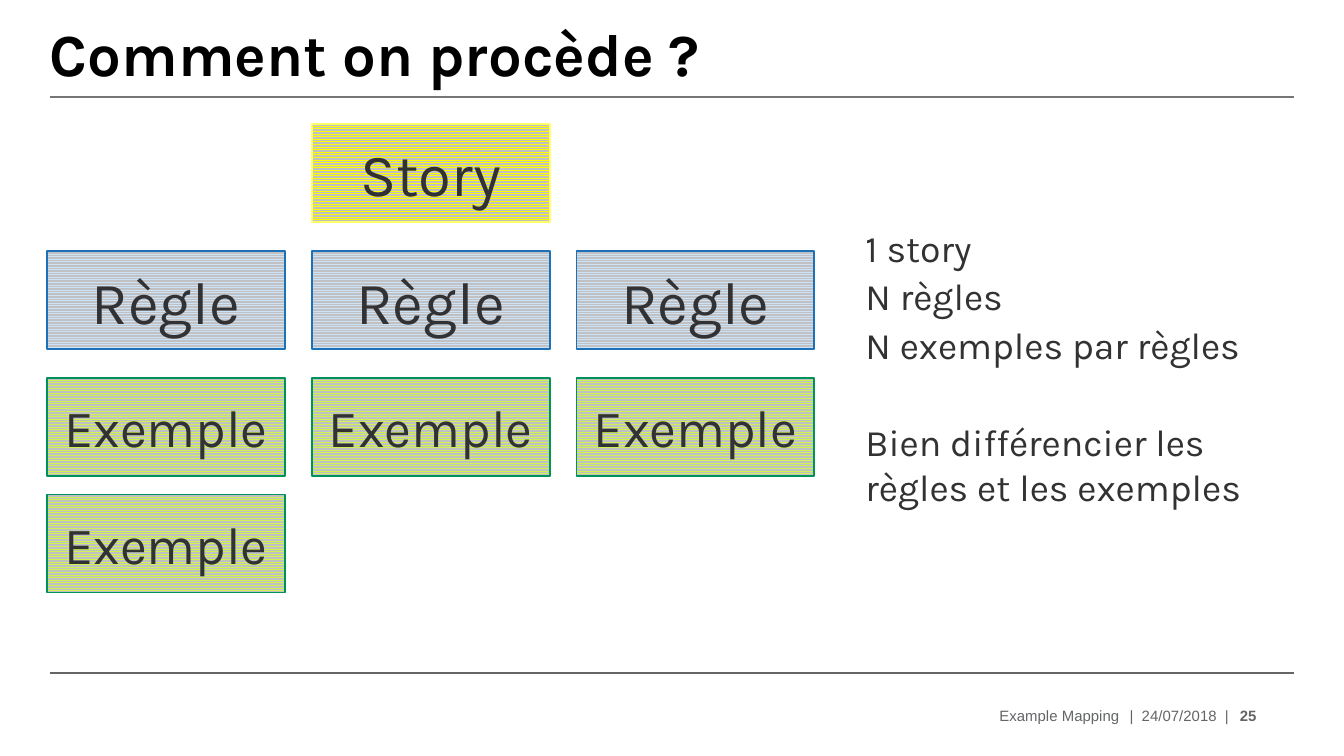
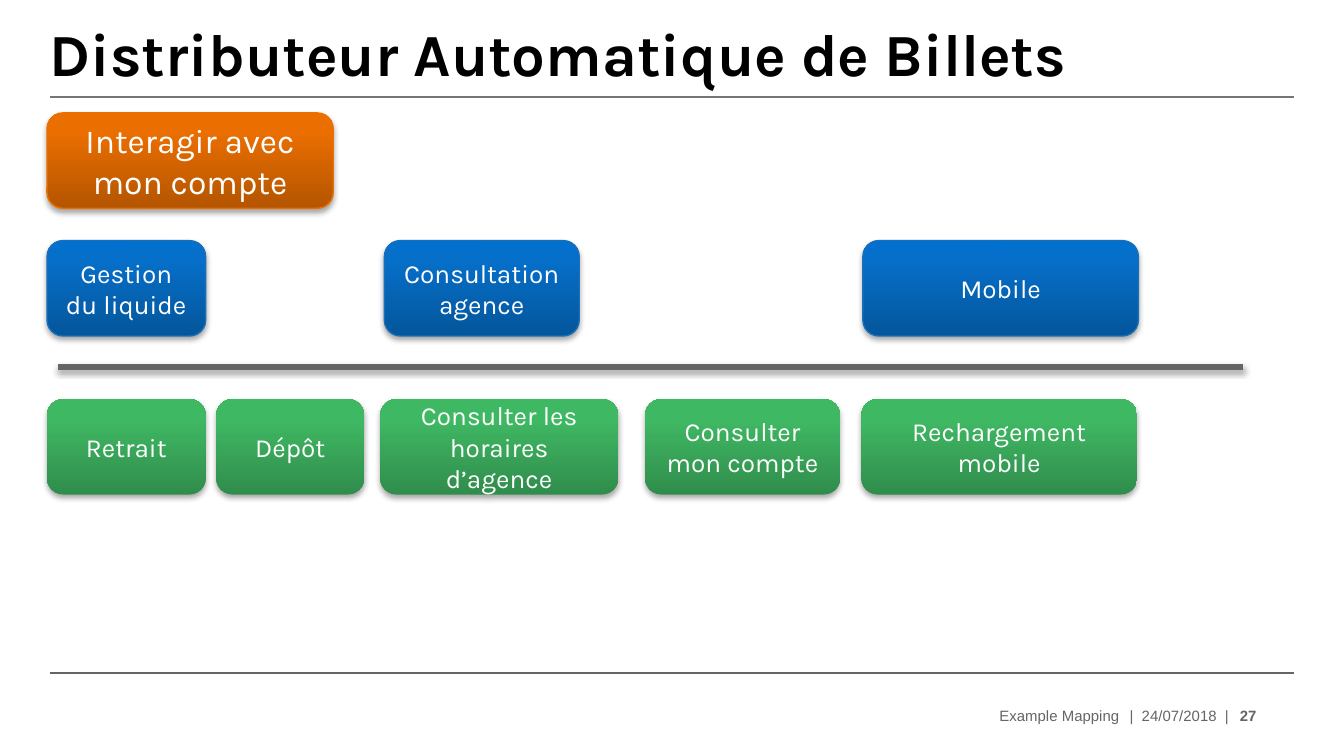
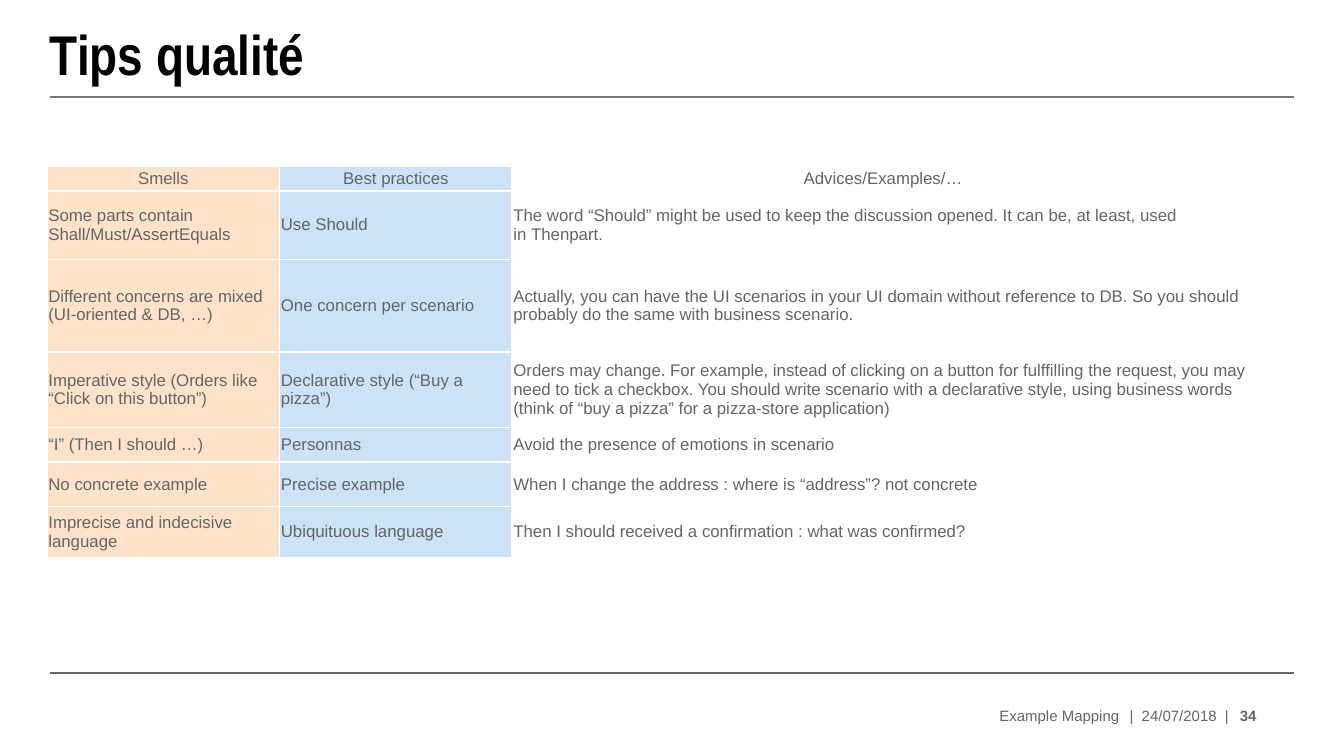
import collections
import dataclasses

import lxml.etree
import pptx
import pptx.dml.color
import pptx.enum.dml
import pptx.enum.shapes
import pptx.enum.text
import pptx.oxml.ns
import pptx.util

Inches = pptx.util.Inches
Pt = pptx.util.Pt
qn = pptx.oxml.ns.qn
ALIGN = pptx.enum.text.PP_ALIGN
SHAPE = pptx.enum.shapes.MSO_SHAPE
STRAIGHT = pptx.enum.shapes.MSO_CONNECTOR.STRAIGHT

Box = collections.namedtuple("Box", "left top width height")
Card = collections.namedtuple("Card", "fill line size")
Tile = collections.namedtuple("Tile", "stops line size")


@dataclasses.dataclass(frozen=True)
class Theme:
    display: str = "Karla"
    narrow: str = "Arial Narrow"
    plain: str = "Arial"
    black: str = "000000"
    white: str = "FFFFFF"
    ink: str = "323234"
    grey: str = "646567"
    title_rule: str = "767676"
    stripe: str = "C1C1C3"
    peach: str = "FEE3CA"
    sky: str = "CCE3F7"
    title_size: int = 32
    narrow_title_size: int = 30
    body_size: int = 20
    table_size: int = 9
    footer_size: int = 8
    story: Card = Card("FFFF00", "FFFF69", 32)
    rule: Card = Card("CCE3F7", "1D71B8", 32)
    example: Card = Card("CFF353", "00925B", 28)
    goal: Tile = Tile(("B45500", "EA6E00", "EB6F00"), "EC6F00", 18)
    activity: Tile = Tile(("04569B", "066FC9", "0270CE"), "196FB8", 14)
    task: Tile = Tile(("308D4C", "3FB863", "3DBB63"), None, 14)


THEME = Theme()
PAGE = Box(0, 0, 10, 10 * 9 / 16)
TITLE = Box(0.37, 0.09, 9.25, 0.61)
FOOTER = Box(6.13, 5.25, 3.22, 0.15)
RULES = ((0.72, THEME.title_rule), (5.01, THEME.grey))
HARD_SPACE = chr(160)

TIPS = (
    ("Smells", "Best practices", "Advices/Examples/…"),
    ("Some parts contain Shall/Must/AssertEquals", "Use Should",
     "The word “Should” might be used to keep the discussion opened. "
     f"It can be, at least, used in{HARD_SPACE}Thenpart."),
    ("Different concerns are mixed (UI-oriented & DB, …)", "One concern per scenario",
     "Actually, you can have the UI scenarios in your UI domain without reference to DB. "
     "So you should probably do the same with business scenario."),
    ("Imperative style (Orders like “Click on this button”)",
     "Declarative style (“Buy a pizza”)",
     "Orders may change. For example, instead of clicking on a button for fulffilling "
     "the request, you may need to tick a checkbox. You should write scenario with a "
     "declarative style, using business words (think of “buy a pizza” for a pizza-store "
     "application)"),
    (f"“I” (Then{HARD_SPACE}I should …)", "Personnas",
     "Avoid the presence of emotions in scenario"),
    ("No concrete example", "Precise example",
     f"When I change the address{HARD_SPACE}: where is “address”? not concrete"),
    ("Imprecise and indecisive language", "Ubiquituous language",
     f"Then I should received a confirmation{HARD_SPACE}: what was confirmed?"),
)


def color(value):
    return pptx.dml.color.RGBColor.from_string(value)


def assign(target, values):
    for name, value in values.items():
        setattr(target, name, value)


def place(item, box):
    assign(item, {name: Inches(value) for name, value in box._asdict().items()})


def inset(target, left, top, right, bottom):
    assign(target, {"margin_left": Inches(left), "margin_top": Inches(top),
                    "margin_right": Inches(right), "margin_bottom": Inches(bottom)})


def write(frame, lines, font, size, ink, align=ALIGN.LEFT, bold=False):
    frame.text = "\n".join(lines)
    for para in frame.paragraphs:
        para.alignment = align
        for span in para.runs:
            assign(span.font, {"name": font, "size": Pt(size), "bold": bold})
            span.font.color.rgb = color(ink)


def set_frame(frame, margins, wrap=True):
    assign(frame, {"word_wrap": wrap,
                   "auto_size": pptx.enum.text.MSO_AUTO_SIZE.NONE,
                   "vertical_anchor": pptx.enum.text.MSO_ANCHOR.MIDDLE})
    inset(frame, *margins)


def add_text(page, box, margins=(0, 0, 0, 0), wrap=True):
    item = page.shapes.add_textbox(*(Inches(value) for value in box))
    set_frame(item.text_frame, margins, wrap)
    return item.text_frame


def set_effects(item, shadow=False):
    properties = item._element.spPr
    effects = properties.find(qn("a:effectLst"))
    if effects is None:
        effects = lxml.etree.SubElement(properties, qn("a:effectLst"))
    if shadow:
        outer = lxml.etree.SubElement(effects, qn("a:outerShdw"), blurRad="40000",
                                      dist="23000", dir="5400000", rotWithShape="0")
        ink = lxml.etree.SubElement(outer, qn("a:srgbClr"), val=THEME.black)
        lxml.etree.SubElement(ink, qn("a:alpha"), val="35000")


def add_rule(page, left, right, top, ink, width=1, shadow=False):
    rule = page.shapes.add_connector(STRAIGHT, Inches(left), Inches(top),
                                     Inches(right), Inches(top))
    rule.line.color.rgb = color(ink)
    rule.line.width = Pt(width)
    set_effects(rule, shadow)


def add_block(page, kind, box, line, width):
    block = page.shapes.add_shape(kind, *(Inches(value) for value in box))
    block.shadow.inherit = False
    if line:
        block.line.color.rgb = color(line)
        block.line.width = Pt(width)
    else:
        block.line.fill.background()
    set_frame(block.text_frame, (0.1, 0.1, 0.1, 0.1))
    return block


def add_card(page, box, label, card):
    block = add_block(page, SHAPE.RECTANGLE, box, card.line, 1)
    block.fill.patterned()
    block.fill.pattern = pptx.enum.dml.MSO_PATTERN.NARROW_HORIZONTAL
    block.fill.fore_color.rgb = color(card.fill)
    block.fill.back_color.rgb = color(THEME.stripe)
    write(block.text_frame, [label], THEME.display, card.size, THEME.ink, ALIGN.CENTER)


def add_tile(page, box, lines, tile):
    block = add_block(page, SHAPE.ROUNDED_RECTANGLE, box, tile.line, 0.75)
    block.fill.gradient()
    block.fill.gradient_angle = 90
    stops = block._element.spPr.find(qn("a:gradFill")).find(qn("a:gsLst"))
    for stop in list(stops):
        stops.remove(stop)
    for position, value in zip((0, 80000, 100000), tile.stops):
        stop = lxml.etree.SubElement(stops, qn("a:gs"), pos=str(position))
        lxml.etree.SubElement(stop, qn("a:srgbClr"), val=value)
    set_effects(block, shadow=True)
    write(block.text_frame, lines, THEME.display, tile.size, THEME.white, ALIGN.CENTER)


def add_footer(page, box, number):
    parts = (
        (0, 2.2, "Example Mapping", ALIGN.RIGHT, False),
        (2.26, 0.77, "|  24/07/2018  |", ALIGN.CENTER, False),
        (3.02, 0.2, str(number), ALIGN.RIGHT, True),
    )
    for offset, width, label, align, bold in parts:
        part = Box(box.left + offset, box.top, width, box.height)
        write(add_text(page, part, wrap=False), [label], THEME.plain,
              THEME.footer_size, THEME.grey, align, bold)


def add_page(deck, title, number, font=THEME.display, size=THEME.title_size):
    page = deck.slides.add_slide(deck.slide_layouts.get_by_name("Title Only"))
    for top, ink in RULES:
        add_rule(page, TITLE.left, 9.63, top, ink)
    heading = page.shapes.title
    place(heading, TITLE)
    set_frame(heading.text_frame, (0, 0, 0, 0))
    write(heading.text_frame, [title], font, size, THEME.black, bold=True)
    add_footer(page, FOOTER, number)
    return page


def add_card_grid(page, box):
    rows = (
        (0, (1,), "Story", THEME.story),
        (0.95, (0, 1, 2), "Règle", THEME.rule),
        (1.89, (0, 1, 2), "Exemple", THEME.example),
        (2.76, (0,), "Exemple", THEME.example),
    )
    width, height = 1.77, 0.73
    pitch = (box.width - width) / 2
    for offset, columns, label, card in rows:
        for column in columns:
            cell = Box(box.left + column * pitch, box.top + offset, width, height)
            add_card(page, cell, label, card)


def add_summary(page, box):
    frame = add_text(page, box, (0.1, 0.05, 0.1, 0.37))
    lines = ("1 story", "N règles", "N exemples par règles",
             "Bien différencier les règles et les exemples")
    write(frame, lines, THEME.display, THEME.body_size, THEME.ink)
    for para, gap in zip(frame.paragraphs, (2, 2, 2, 28)):
        para.space_before = Pt(gap)


def add_story_map(page, box):
    rows = (
        (0, THEME.goal, ((0, 2.13, ["Interagir avec mon compte"]),)),
        (0.95, THEME.activity, (
            (0, 1.18, ["Gestion du liquide"]),
            (2.51, 1.45, ["Consultation agence"]),
            (6.07, 2.05, ["Mobile"]),
        )),
        (2.13, THEME.task, (
            (0, 1.18, ["Retrait"]),
            (1.26, 1.1, ["Dépôt"]),
            (2.48, 1.77, ["Consulter les horaires d’agence"]),
            (4.45, 1.45, ["Consulter mon compte"]),
            (6.06, 2.05, ["Rechargement", "mobile"]),
        )),
    )
    add_rule(page, box.left + 0.08, box.left + box.width, box.top + 1.89,
             THEME.grey, 3, shadow=True)
    for top, tile, entries in rows:
        for left, width, lines in entries:
            add_tile(page, Box(box.left + left, box.top + top, width, 0.71), lines, tile)


def add_borders(cell):
    properties = cell._tc.get_or_add_tcPr()
    for side in ("lnL", "lnR", "lnT", "lnB"):
        border = lxml.etree.SubElement(properties, qn("a:" + side), w=str(Pt(1)))
        fill = lxml.etree.SubElement(border, qn("a:solidFill"))
        lxml.etree.SubElement(fill, qn("a:srgbClr"), val=THEME.white)


def add_tips_table(page, box):
    widths = (1.73, 1.73, box.width - 2 * 1.73)
    heights = (0.18, 0.51, 0.69, 0.56, 0.26, 0.33, 0.38)
    fills = (THEME.peach, THEME.sky, None)
    table = page.shapes.add_table(len(TIPS), len(widths),
                                  *(Inches(value) for value in box)).table
    assign(table, {"first_row": False, "horz_banding": False})
    for column, width in zip(table.columns, widths):
        column.width = Inches(width)
    for index, (row, height, texts) in enumerate(zip(table.rows, heights, TIPS)):
        row.height = Inches(height)
        margins = (0.01, 0.01, 0, 0.01) if index else (0, 0, 0, 0)
        align = ALIGN.LEFT if index else ALIGN.CENTER
        for cell, label, fill in zip(row.cells, texts, fills):
            add_borders(cell)
            if fill:
                cell.fill.solid()
                cell.fill.fore_color.rgb = color(fill)
            else:
                cell.fill.background()
            cell.vertical_anchor = pptx.enum.text.MSO_ANCHOR.MIDDLE
            inset(cell, *margins)
            write(cell.text_frame, [label], THEME.plain, THEME.table_size,
                  THEME.grey, align)


def main():
    deck = pptx.Presentation()
    deck.slide_width = Inches(PAGE.width)
    deck.slide_height = Inches(PAGE.height)

    process = add_page(deck, "Comment on procède ?", 25)
    add_summary(process, Box(6.34, 0.93, 3.29, 3.92))
    add_card_grid(process, Box(0.35, 0.92, 5.71, 3.49))

    cash_machine = add_page(deck, "Distributeur Automatique de Billets", 27)
    add_story_map(cash_machine, Box(0.35, 0.84, 8.9, 2.84))

    tips = add_page(deck, "Tips qualité", 34, THEME.narrow, THEME.narrow_title_size)
    add_tips_table(tips, Box(0.35, 1.24, 8.98, 2.91))

    deck.save("out.pptx")


if __name__ == "__main__":
    main()
